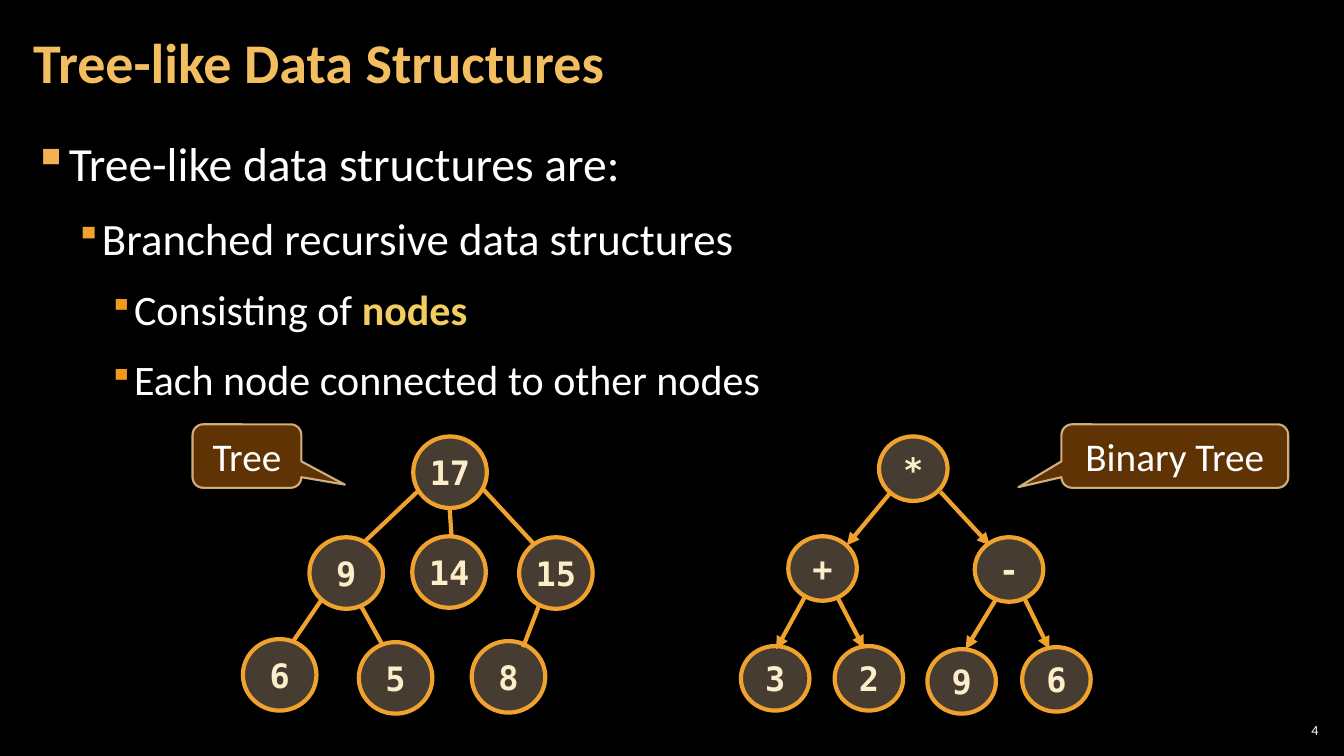
"""Builds the slide on tree-like data structures."""
from typing import NamedTuple

from lxml import etree
from pptx import Presentation
from pptx import util as u
from pptx.dml.color import RGBColor
from pptx.enum import shapes, text
from pptx.oxml.ns import qn

CELL = 0.1
COLUMNS, ROWS = 133.33, 75
BODY_FONT, NODE_FONT = "Calibri", "DejaVu Sans Mono"
COLORS = {
    "background": "000000", "title": "F3BE60", "body": "FFFFFF", "keyword": "F3CD60",
    "node": "ECC8A4", "branch": "F0A22E", "value": "FBEEC9",
    "callout": "663606", "callout_line": "F8D49E",
}


class Node(NamedTuple):
    """A value and the column and row of its top left corner."""
    value: str
    column: float
    row: float


class Branch(NamedTuple):
    """A line between two grid points."""
    start: tuple[float, float]
    end: tuple[float, float]


class Tree(NamedTuple):
    """Nodes of one size with the branches between them."""
    width: float
    height: float
    arrows: bool
    nodes: list[Node]
    branches: list[Branch]


class Callout(NamedTuple):
    """A label with its grid box and the place its pointer aims at."""
    label: str
    box: tuple[float, float, float, float]
    pointer: tuple[float, float]


class Level(NamedTuple):
    """Format of one bullet level."""
    size: int
    margin: float
    hanging: float
    bullet_color: str
    bullet_percent: int


LEVELS = [
    Level(34, 3.33, 3.33, "F2B254", 100),
    Level(32, 6.67, 2.5, "F0A22E", 80),
    Level(30, 10, 2.5, "EF9A1D", 80),
]
BULLETS = [
    (0, "Tree-like data structures are:", ""),
    (1, "Branched recursive data structures", ""),
    (2, "Consisting of ", "nodes"),
    (2, "Each node connected to other nodes", ""),
]
TREES = [
    Tree(7.3, 7.1, False, [
        Node("17", 41, 43.3),
        Node("9", 30.7, 53.3), Node("14", 40.9, 53.2), Node("15", 51.5, 53.3),
        Node("6", 24.1, 63.4), Node("5", 35.6, 63.7), Node("8", 46.8, 63.6),
    ], [
        Branch((41.6, 48.6), (36.1, 53.8)), Branch((44.6, 50.4), (44.8, 53.2)),
        Branch((47.9, 48.5), (53, 54)), Branch((31.9, 59.5), (29.1, 63.6)),
        Branch((35.8, 60.1), (37.9, 63.9)), Branch((53.5, 60), (51.9, 64.2)),
    ]),
    Tree(6.8, 6.4, True, [
        Node("*", 87.2, 43.3),
        Node("+", 78.2, 53.2), Node("-", 96.7, 53.3),
        Node("3", 73.5, 64.1), Node("2", 82.8, 64.1),
        Node("9", 92, 64.4), Node("6", 101.4, 64.2),
    ], [
        Branch((88.4, 48.8), (84, 54.1)), Branch((93.3, 48.8), (98.2, 54.1)),
        Branch((79.8, 59.3), (77, 64.4)), Branch((83.1, 59.3), (85.7, 64.3)),
        Branch((98.9, 59.3), (95.8, 64.4)), Branch((101.6, 59.3), (104.1, 64.4)),
    ]),
]
CALLOUTS = [
    Callout("Binary Tree", (105.3, 42.1, 22.5, 6.3), (-0.69, 0.49)),
    Callout("Tree", (19.1, 42.1, 10.8, 6.3), (0.9, 0.45)),
]


def grid(*cells: float) -> list[int]:
    """Turn grid cells into lengths."""
    return [u.Inches(cell * CELL) for cell in cells]


def add_text(paragraph, content: str, *, size: float, color: str,
             font: str = BODY_FONT, bold: bool = False) -> None:
    """Add a formatted run to a paragraph."""
    run = paragraph.add_run()
    run.text = content
    run.font.size = u.Pt(size)
    run.font.name = font
    run.font.bold = bold
    run.font.color.rgb = RGBColor.from_string(COLORS[color])


def add_box(slide, cells: tuple, *, inset: float = 0.4, anchor=text.MSO_ANCHOR.MIDDLE):
    """Add a wrapping text box and return its frame."""
    frame = slide.shapes.add_textbox(*grid(*cells)).text_frame
    frame.word_wrap = True
    frame.vertical_anchor = anchor
    frame.margin_left, frame.margin_right = grid(inset, inset)
    frame.margin_top, frame.margin_bottom = grid(0.4, 0.4)
    return frame


def set_opacity(solid_fill, percent: int) -> None:
    """Set the opacity of a solid fill element."""
    etree.SubElement(solid_fill[0], qn("a:alpha"), val=str(percent * 1000))


def style_shape(shape, *, fill: str, opacity: int, line: str, weight: float) -> None:
    """Set the fill and line of a shape and centre its text."""
    shape.shadow.inherit = False
    shape.fill.solid()
    shape.fill.fore_color.rgb = RGBColor.from_string(COLORS[fill])
    set_opacity(shape.element.spPr.find(qn("a:solidFill")), opacity)
    shape.line.color.rgb = RGBColor.from_string(COLORS[line])
    shape.line.width = u.Pt(weight)
    shape.text_frame.vertical_anchor = text.MSO_ANCHOR.MIDDLE
    shape.text_frame.paragraphs[0].alignment = text.PP_ALIGN.CENTER


def add_bullets(slide) -> None:
    """Add the bulleted list."""
    frame = add_box(slide, (2.1, 12.6, 129.1, 60.9), inset=1.2,
                    anchor=text.MSO_ANCHOR.TOP)
    for index, (depth, content, keyword) in enumerate(BULLETS):
        level = LEVELS[depth]
        paragraph = frame.add_paragraph() if index else frame.paragraphs[0]
        paragraph.level = depth
        properties = paragraph._p.get_or_add_pPr()
        margin, hanging = grid(level.margin, level.hanging)
        properties.set("marL", str(margin))
        properties.set("indent", str(-hanging))
        color = etree.SubElement(properties, qn("a:buClr"))
        etree.SubElement(color, qn("a:srgbClr"), val=level.bullet_color)
        etree.SubElement(properties, qn("a:buSzPct"), val=str(level.bullet_percent * 1000))
        etree.SubElement(properties, qn("a:buChar"), char="▪")
        paragraph.line_spacing = 1.05
        paragraph.space_before = u.Pt(6 if index else 0)
        paragraph.space_after = u.Pt(6)
        add_text(paragraph, content, size=level.size, color="body")
        if keyword:
            add_text(paragraph, keyword, size=level.size, color="keyword", bold=True)


def add_branch(group, branch: Branch, arrow: bool) -> None:
    """Draw a branch, with an arrowhead if asked."""
    connector = group.shapes.add_connector(
        shapes.MSO_CONNECTOR.STRAIGHT, *grid(*branch.start, *branch.end))
    connector.line.color.rgb = RGBColor.from_string(COLORS["branch"])
    connector.line.width = u.Pt(3)
    properties = connector.element.spPr
    if arrow:
        etree.SubElement(properties.find(qn("a:ln")), qn("a:tailEnd"), type="triangle")
    etree.SubElement(properties, qn("a:effectLst"))


def add_tree(slide, tree: Tree) -> None:
    """Draw a tree as one group."""
    group = slide.shapes.add_group_shape()
    for branch in tree.branches:
        add_branch(group, branch, tree.arrows)
    for node in tree.nodes:
        shape = group.shapes.add_shape(
            shapes.MSO_SHAPE.OVAL, *grid(node.column, node.row, tree.width, tree.height))
        style_shape(shape, fill="node", opacity=30, line="branch", weight=3)
        shape.text_frame.word_wrap = False
        add_text(shape.text_frame.paragraphs[0], node.value, size=24,
                 color="value", font=NODE_FONT, bold=True)


def add_callout(slide, callout: Callout) -> None:
    """Draw a callout."""
    shape = slide.shapes.add_shape(
        shapes.MSO_SHAPE.ROUNDED_RECTANGULAR_CALLOUT, *grid(*callout.box))
    shape.adjustments[0], shape.adjustments[1] = callout.pointer
    style_shape(shape, fill="callout", opacity=95, line="callout_line", weight=1.5)
    set_opacity(shape.element.spPr.find(qn("a:ln")).find(qn("a:solidFill")), 80)
    add_text(shape.text_frame.paragraphs[0], callout.label, size=28, color="body")


def main() -> None:
    """Build and save the presentation."""
    presentation = Presentation()
    presentation.slide_width, presentation.slide_height = grid(COLUMNS, ROWS)
    slide = presentation.slides.add_slide(presentation.slide_layouts[6])
    slide.background.fill.solid()
    slide.background.fill.fore_color.rgb = RGBColor.from_string(COLORS["background"])
    number = add_box(slide, (126.5, 71.4, 4.7, 2.1)).paragraphs[0]
    number.alignment = text.PP_ALIGN.RIGHT
    add_text(number, "4", size=10, color="body")
    add_bullets(slide)
    title = add_box(slide, (2.1, 0.4, 104.7, 12.1), inset=1.2).paragraphs[0]
    title.line_spacing = 0.9
    add_text(title, "Tree-like Data Structures", size=40, color="title", bold=True)
    for tree in TREES:
        add_tree(slide, tree)
    for callout in CALLOUTS:
        add_callout(slide, callout)
    presentation.save("out.pptx")


if __name__ == "__main__":
    main()
